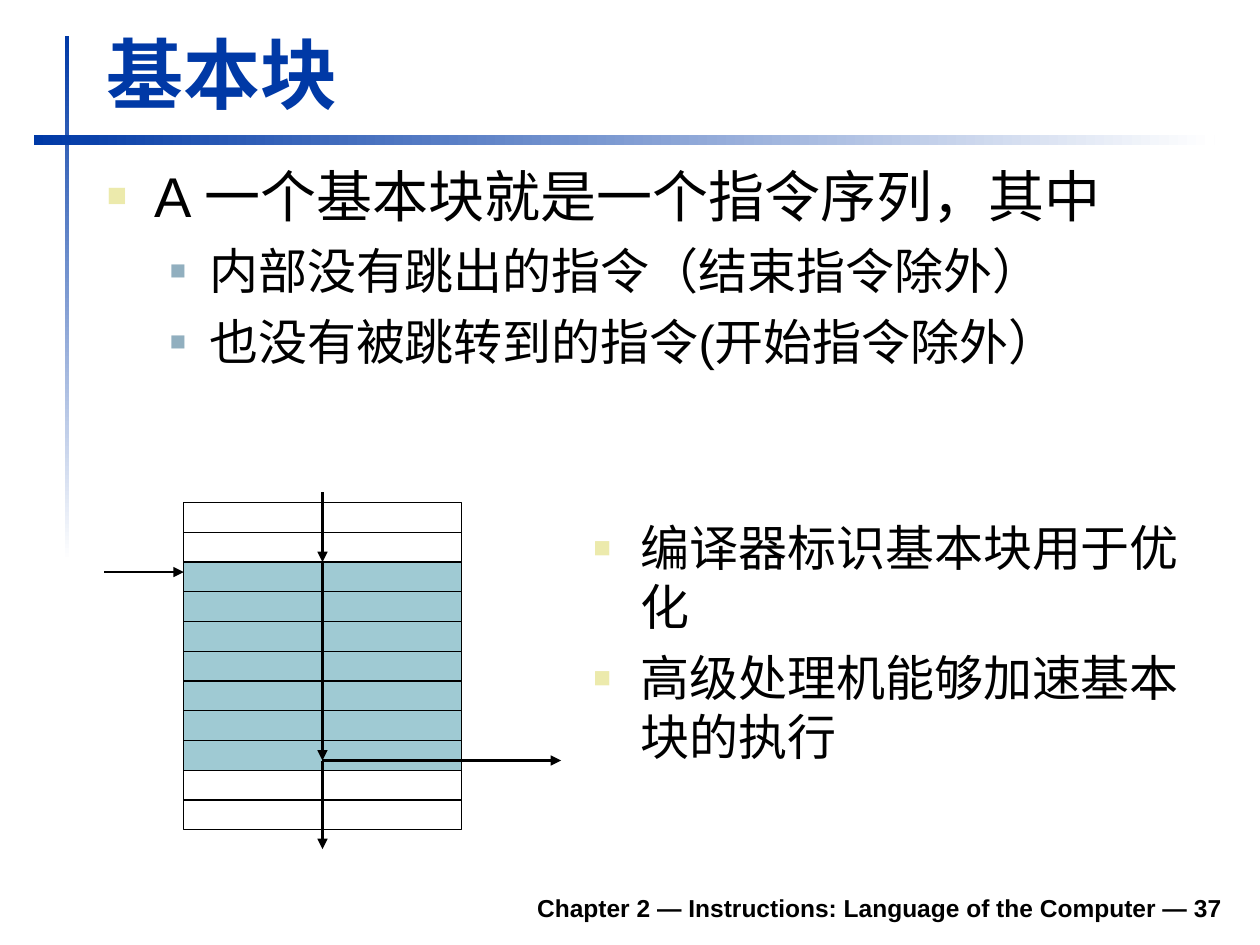
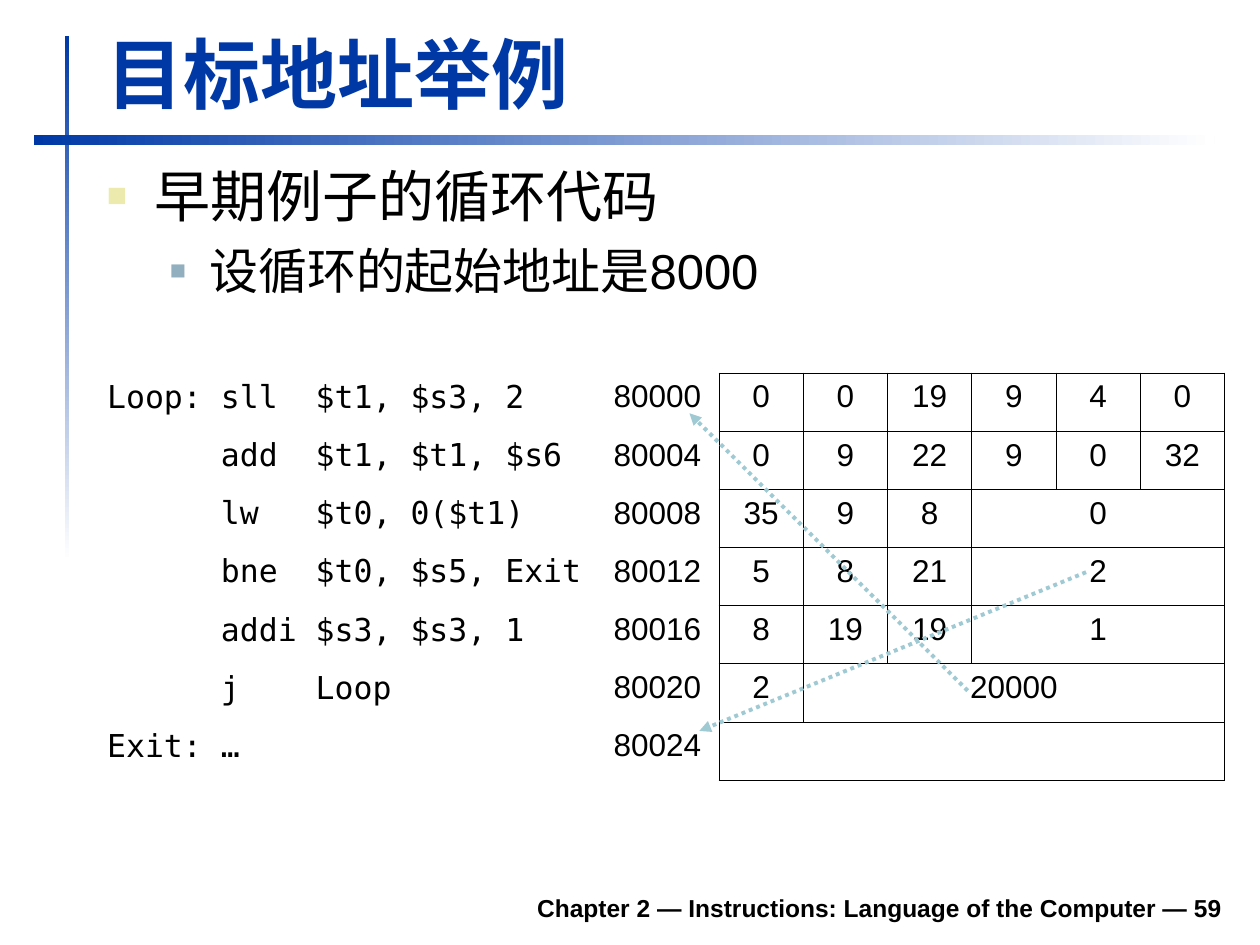
from lxml import etree
from pptx import Presentation
from pptx.dml.color import RGBColor
from pptx.enum.dml import MSO_LINE
from pptx.enum.shapes import MSO_CONNECTOR, MSO_SHAPE
from pptx.enum.text import MSO_ANCHOR, PP_ALIGN
from pptx.oxml.ns import qn
from pptx.util import Pt

STRAIGHT = MSO_CONNECTOR.STRAIGHT
RECTANGLE = MSO_SHAPE.RECTANGLE
DOTTED = MSO_LINE.ROUND_DOT
BOTTOM, TOP = MSO_ANCHOR.BOTTOM, MSO_ANCHOR.TOP
LEFT, CENTER, RIGHT = PP_ALIGN.LEFT, PP_ALIGN.CENTER, PP_ALIGN.RIGHT

COLORS = {
    "title": "0039A6",
    "white": "FFFFFF",
    "text": "000000",
    "bullet": "ECEAAC",
    "sub_bullet": "91AFBF",
    "block": "9FCAD3",
}
SANS, MONO = "Arial", "DejaVu Sans Mono"
# text size, left margin, hanging indent, space before, bullet colour, bullet size in percent
MAIN = (32, 27, 27, 8, "bullet", 60)
SUB = (28, 58.5, 22.5, 7, "sub_bullet", 55)
SIDE = (28, 27, 27, 7, "bullet", 60)

CODE = [
    ("Loop: sll  $t1, $s3, 2", "80000", [0, 0, 19, 9, 4, 0]),
    ("      add  $t1, $t1, $s6", "80004", [0, 9, 22, 9, 0, 32]),
    ("      lw   $t0, 0($t1)", "80008", [35, 9, 8, 0]),
    ("      bne  $t0, $s5, Exit", "80012", [5, 8, 21, 2]),
    ("      addi $s3, $s3, 1", "80016", [8, 19, 19, 1]),
    ("      j    Loop", "80020", [2, 20000]),
    ("Exit: …", "80024", [""]),
]
FIELDS = 6


def rgb(color):
    return RGBColor.from_string(COLORS[color])


def set_font(paragraph, size, color="text", name=SANS, bold=False):
    font = paragraph.font
    font.size, font.name, font.bold = Pt(size), name, bold
    font.color.rgb = rgb(color)


def add_text_frame(slide, box, anchor=TOP):
    frame = slide.shapes.add_textbox(*map(Pt, box)).text_frame
    frame.word_wrap = True
    frame.vertical_anchor = anchor
    return frame


def add_line_of_text(slide, box, text, size, color, align):
    """Bold single line resting on the bottom of its box."""
    paragraph = add_text_frame(slide, box, BOTTOM).paragraphs[0]
    paragraph.text = text
    paragraph.alignment = align
    set_font(paragraph, size, color, bold=True)


def add_gradient_band(slide, box, angle):
    band = slide.shapes.add_shape(RECTANGLE, *map(Pt, box))
    band.shadow.inherit = False
    band.line.fill.background()
    band.fill.gradient()
    band.fill.gradient_angle = angle
    for stop, color in zip(band.fill.gradient_stops, ("title", "white")):
        stop.color.rgb = rgb(color)


def add_base_slide(deck, title, page):
    """Blank slide with the shared bands, title and footer."""
    slide = deck.slides.add_slide(deck.slide_layouts[6])
    add_gradient_band(slide, (36.9, 20.5, 2.5, 300), 270)
    add_gradient_band(slide, (19.6, 77.2, 674.6, 5.6), 0)
    add_line_of_text(slide, (54, 11.2, 650, 60), title, 44, "title", LEFT)
    add_line_of_text(slide, (133.2, 502.6, 572.4, 28),
                     f"Chapter 2 — Instructions: Language of the Computer — {page}",
                     14, "text", RIGHT)
    return slide


def add_bullets(slide, box, items):
    frame = add_text_frame(slide, box)
    for number, (text, style) in enumerate(items):
        size, margin, hanging, before, color, percent = style
        paragraph = frame.add_paragraph() if number else frame.paragraphs[0]
        paragraph.text = text
        paragraph.level = int(style is SUB)
        if number:
            paragraph.space_before = Pt(before)
        properties = paragraph._p.get_or_add_pPr()
        properties.set("marL", str(Pt(margin)))
        properties.set("indent", str(-Pt(hanging)))
        bullet_color = etree.SubElement(properties, qn("a:buClr"))
        etree.SubElement(bullet_color, qn("a:srgbClr"), val=COLORS[color])
        etree.SubElement(properties, qn("a:buSzPct"), val=str(percent * 1000))
        etree.SubElement(properties, qn("a:buFont"), typeface=SANS)
        etree.SubElement(properties, qn("a:buChar"), char="■")
        set_font(paragraph, size)


def add_arrow(shapes, start, end, color="text", width=1.5, dash=None):
    arrow = shapes.add_connector(STRAIGHT, *map(Pt, start + end))
    arrow.line.color.rgb = rgb(color)
    arrow.line.width = Pt(width)
    if dash:
        arrow.line.dash_style = dash
    etree.SubElement(arrow.line._get_or_add_ln(), qn("a:tailEnd"), type="triangle")
    etree.SubElement(arrow._element.spPr, qn("a:effectLst"))
    return arrow


def add_block_diagram(slide, box):
    """Stack of instructions; the shaded ones form the basic block."""
    left, top, width, height = box
    count, first, last = 11, 2, 8
    step = height / count
    middle, right = left + width / 2, left + width
    entry, leave = top + first * step, top + (last + 0.67) * step
    shapes = slide.shapes.add_group_shape().shapes

    instructions = []
    for row in range(count):
        instruction = shapes.add_shape(
            RECTANGLE, *map(Pt, (left, top + row * step, width, step)))
        instruction.shadow.inherit = False
        instruction.line.color.rgb = rgb("text")
        instruction.line.width = Pt(0.75)
        if first <= row <= last:
            instruction.fill.solid()
            instruction.fill.fore_color.rgb = rgb("block")
        else:
            instruction.fill.background()
        instructions.append(instruction)

    flow_in = add_arrow(shapes, (middle, top - 6), (middle, entry))
    flow_in.end_connect(instructions[first], 0)
    flow_through = add_arrow(shapes, (middle, entry), (middle, leave))
    flow_through.begin_connect(instructions[first], 0)
    add_arrow(shapes, (middle, leave), (middle, top + height + 11))
    add_arrow(shapes, (middle, leave), (right + 57, leave))
    add_arrow(shapes, (left - 45.5, entry + step / 3), (left, entry + step / 3))


def set_cell_borders(cell, right, others):
    properties = cell._tc.get_or_add_tcPr()
    for place, side in enumerate("LRTB"):
        border = etree.Element(qn(f"a:ln{side}"), w=str(Pt(0.45)))
        fill = etree.SubElement(border, qn("a:solidFill"))
        color = right if side == "R" else others
        etree.SubElement(fill, qn("a:srgbClr"), val=COLORS[color])
        properties.insert(place, border)


def fill_cell(cell, text, name=SANS, align=LEFT):
    paragraph = cell.text_frame.paragraphs[0]
    paragraph.text = str(text)
    paragraph.alignment = align
    set_font(paragraph, 18, name=name)


def add_code_table(slide, box):
    """Assembly code, its addresses and the encoded instruction fields."""
    left, top, width, height = box
    code_width, address_width = 289.4, 67.5
    field_width = (width - code_width - address_width) / FIELDS
    table = slide.shapes.add_table(len(CODE), 2 + FIELDS, *map(Pt, box)).table
    table.first_row = table.horz_banding = False
    for column, size in zip(table.columns,
                            [code_width, address_width] + [field_width] * FIELDS):
        column.width = Pt(size)

    for row, (code, address, fields) in enumerate(CODE):
        table.rows[row].height = Pt(height / len(CODE))
        for column in range(2 + FIELDS):
            cell = table.cell(row, column)
            cell.margin_left = cell.margin_right = Pt(7.2)
            cell.margin_top = cell.margin_bottom = Pt(3.6)
            cell.fill.background()
            set_cell_borders(cell, "white" if column == 0 else "text",
                             "white" if column < 2 else "text")
        fill_cell(table.cell(row, 0), code, MONO)
        fill_cell(table.cell(row, 1), address)
        for column, value in enumerate(fields, start=2):
            fill_cell(table.cell(row, column), value, align=CENTER)
        if len(fields) < FIELDS:
            table.cell(row, 1 + len(fields)).merge(table.cell(row, 1 + FIELDS))

    jump = (left + 499, top + 181.5), (left + 340, top + 23)
    branch = (left + 566.6, top + 113.8), (left + 345.6, top + 204.5)
    for start, end in (jump, branch):
        add_arrow(slide.shapes, start, end, "block", 2.25, DOTTED)


def build_basic_block_slide(deck):
    slide = add_base_slide(deck, "基本块", 37)
    add_bullets(slide, (54, 88.6, 651, 181.4), [
        ("A 一个基本块就是一个指令序列，其中", MAIN),
        ("内部没有跳出的指令（结束指令除外）", SUB),
        ("也没有被跳转到的指令(开始指令除外）", SUB),
    ])
    add_block_diagram(slide, (105, 287.2, 158.6, 187))
    add_bullets(slide, (332, 292.3, 368, 187.2), [
        ("编译器标识基本块用于优化", SIDE),
        ("高级处理机能够加速基本块的执行", SIDE),
    ])


def build_target_address_slide(deck):
    slide = add_base_slide(deck, "目标地址举例", 59)
    add_bullets(slide, (54, 88.6, 651, 96.5), [
        ("早期例子的循环代码", MAIN),
        ("设循环的起始地址是8000", SUB),
    ])
    add_code_table(slide, (54, 213.2, 645.8, 232.6))


def main():
    deck = Presentation()
    deck.slide_width, deck.slide_height = Pt(720), Pt(540)
    build_basic_block_slide(deck)
    build_target_address_slide(deck)
    deck.save("out.pptx")


if __name__ == "__main__":
    main()
